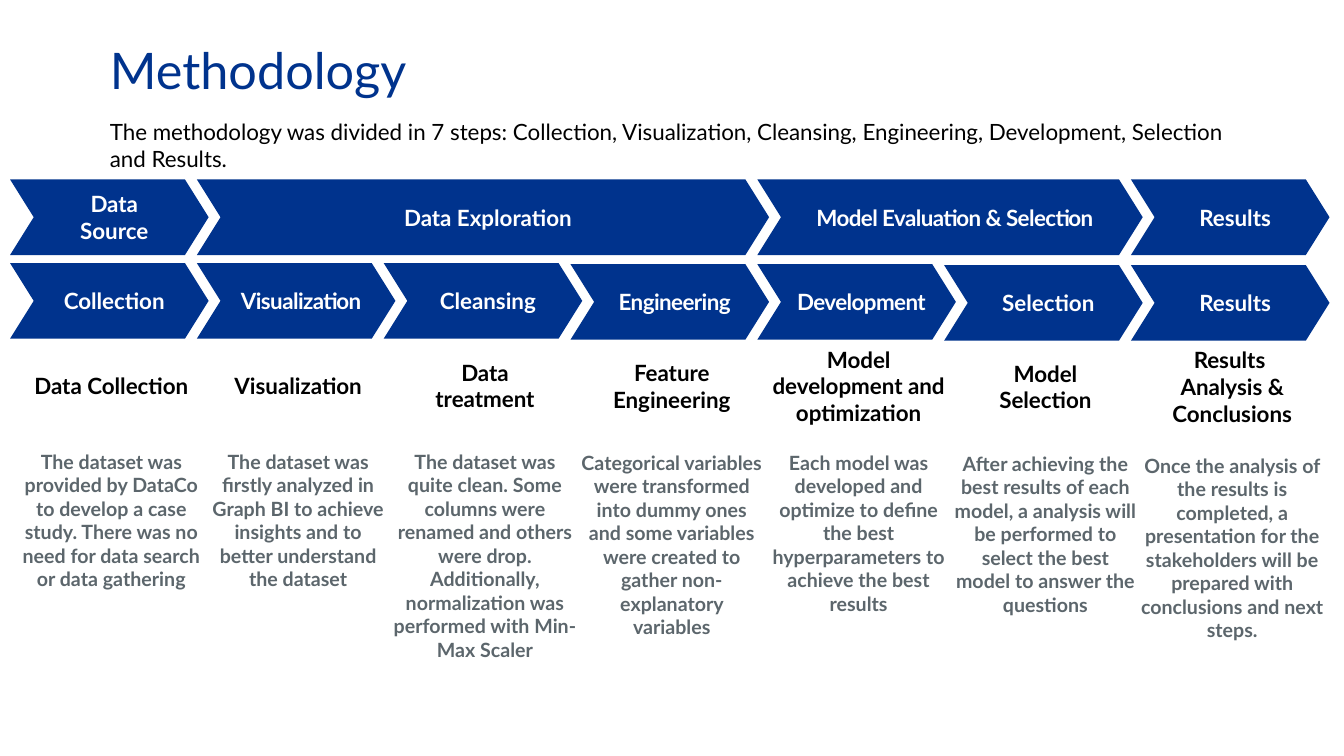
import pptx
import pptx.dml.color
import pptx.enum.shapes
import pptx.enum.text
import pptx.util

Pt = pptx.util.Pt
RGBColor = pptx.dml.color.RGBColor
ALIGN = pptx.enum.text.PP_ALIGN
ANCHOR = pptx.enum.text.MSO_ANCHOR

# Content: a blank line starts a new paragraph, a single newline breaks the line
TITLE = "Methodology"
INTRO = ("The methodology was divided in 7 steps: Collection, Visualization, Cleansing, "
         "Engineering, Development, Selection and Results.")

# Phase name, first step, number of steps, letter spacing
PHASES = [
    ("Data\nSource", 0, 1, 0),
    ("Data Exploration", 1, 3, 0),
    ("Model Evaluation & Selection", 4, 2, -0.4),
    ("Results", 6, 1, 0),
]

# Step name, letter spacing, heading, detail, drop of the chevron, drop of the detail
STEPS = [
    ("Collection", 0, "Data Collection",
     "The dataset was provided by DataCo to develop a case study. There was no need "
     "for data search or data gathering", 0, 0),
    ("Visualization", -0.4, "Visualization",
     "The dataset was firstly analyzed in Graph BI to achieve insights and to better "
     "understand the dataset", 0, 0),
    ("Cleansing", 0, "Data\ntreatment",
     "The dataset was quite clean. Some columns were renamed and others were drop.\n"
     "Additionally, normalization was performed with Min-Max Scaler", 0, 0),
    ("Engineering", -0.4, "Feature Engineering",
     "Categorical variables were transformed into dummy ones and some variables were "
     "created to gather non-explanatory variables", 0.72, 0.72),
    ("Development", -0.4, "Model development and optimization",
     "Each model was developed and optimize to define the best hyperparameters to "
     "achieve the best results", 0.72, 0.72),
    ("Selection", 0, "Model\n\nSelection",
     "After achieving the best results of each model, a analysis will be performed to "
     "select the best model to answer the questions", 1.44, 1.44),
    ("Results", 0, "Results \nAnalysis & Conclusions",
     "Once the analysis of the results is completed, a presentation for the "
     "stakeholders will be prepared with conclusions and next steps.", 1.44, 2.88),
]

# Style and layout, in points
FONT = "Lato"
BLUE = RGBColor(0x00, 0x33, 0x8D)
BLACK = RGBColor(0x00, 0x00, 0x00)
GREY = RGBColor(0x5C, 0x66, 0x6C)
WHITE = RGBColor(0xFF, 0xFF, 0xFF)

LEFT, PITCH, OVERLAP = 7.2, 133.44, 8.4
CHEVRON_HEIGHT, CHEVRON_POINT = 54, 0.313
PHASE_TOP, STEP_TOP = 128.16, 187.92
TEXT_WIDTH = 144.72
HEADING_TOP, HEADING_HEIGHT = 233.28, 84.24
DETAIL_TOP, DETAIL_HEIGHT = 317.52, 138.24


def write_text(shape, text, size=16, color=BLACK, bold=True, align=ALIGN.CENTER,
               anchor=ANCHOR.MIDDLE, insets=(7.2, 3.6, 7.2, 3.6), wrap=True,
               spacing=0, line_spacing=None):
    frame = shape.text_frame
    frame.word_wrap = wrap
    frame.vertical_anchor = anchor
    (frame.margin_left, frame.margin_top,
     frame.margin_right, frame.margin_bottom) = map(Pt, insets)
    for index, part in enumerate(text.split("\n\n")):
        paragraph = frame.add_paragraph() if index else frame.paragraphs[0]
        paragraph.text = part
        paragraph.alignment = align
        if line_spacing:
            paragraph.line_spacing = line_spacing
        for run in paragraph.runs:
            run.font.name = FONT
            run.font.size = Pt(size)
            run.font.bold = bold
            run.font.color.rgb = color
            if spacing:
                run.font._element.set("spc", str(round(spacing * 100)))


def add_text(slide, text, left, top, width, height, **style):
    box = slide.shapes.add_textbox(Pt(left), Pt(top), Pt(width), Pt(height))
    write_text(box, text, **style)


def add_chevron(slide, text, first_step, span, top, spacing):
    chevron = slide.shapes.add_shape(
        pptx.enum.shapes.MSO_SHAPE.CHEVRON, Pt(LEFT + first_step * PITCH), Pt(top),
        Pt(span * PITCH + OVERLAP), Pt(CHEVRON_HEIGHT))
    chevron.adjustments[0] = CHEVRON_POINT
    chevron.shadow.inherit = False
    chevron.fill.solid()
    chevron.fill.fore_color.rgb = BLUE
    chevron.line.fill.background()
    write_text(chevron, text, color=WHITE, insets=(7.2, 3.6, 0, 3.6), wrap=False,
               spacing=spacing)


def main():
    presentation = pptx.Presentation()
    presentation.slide_width, presentation.slide_height = Pt(960), Pt(540)
    slide = presentation.slides.add_slide(presentation.slide_layouts[6])

    # Title and introduction
    plain = dict(bold=False, align=ALIGN.LEFT, insets=(0, 0, 0, 0))
    add_text(slide, TITLE, 78.48, 33.84, 802.8, 41.76, size=36, color=BLUE,
             line_spacing=0.7, **plain)
    add_text(slide, INTRO, 78.48, 84.24, 803.52, 38.88, anchor=ANCHOR.TOP, **plain)

    # Phases, each spanning its steps
    for name, first_step, span, spacing in PHASES:
        add_chevron(slide, name, first_step, span, PHASE_TOP, spacing)

    # Steps with heading and detail below
    for index, (name, spacing, heading, detail, drop, detail_drop) in enumerate(STEPS):
        left = LEFT + index * PITCH
        add_chevron(slide, name, index, 1, STEP_TOP + drop, spacing)
        add_text(slide, heading, left, HEADING_TOP + drop / 2, TEXT_WIDTH, HEADING_HEIGHT)
        add_text(slide, detail, left, DETAIL_TOP + detail_drop, TEXT_WIDTH, DETAIL_HEIGHT,
                 size=14, color=GREY, anchor=ANCHOR.TOP)

    presentation.save("out.pptx")


if __name__ == "__main__":
    main()
